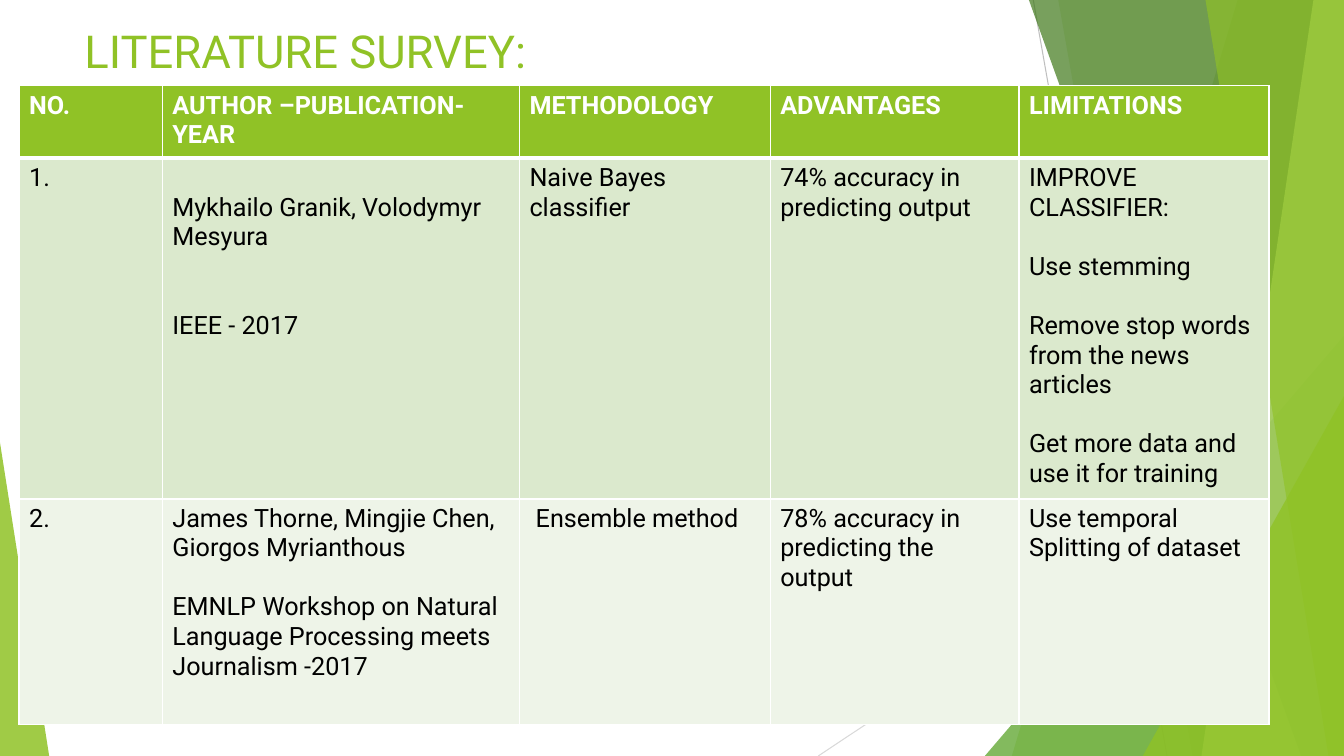
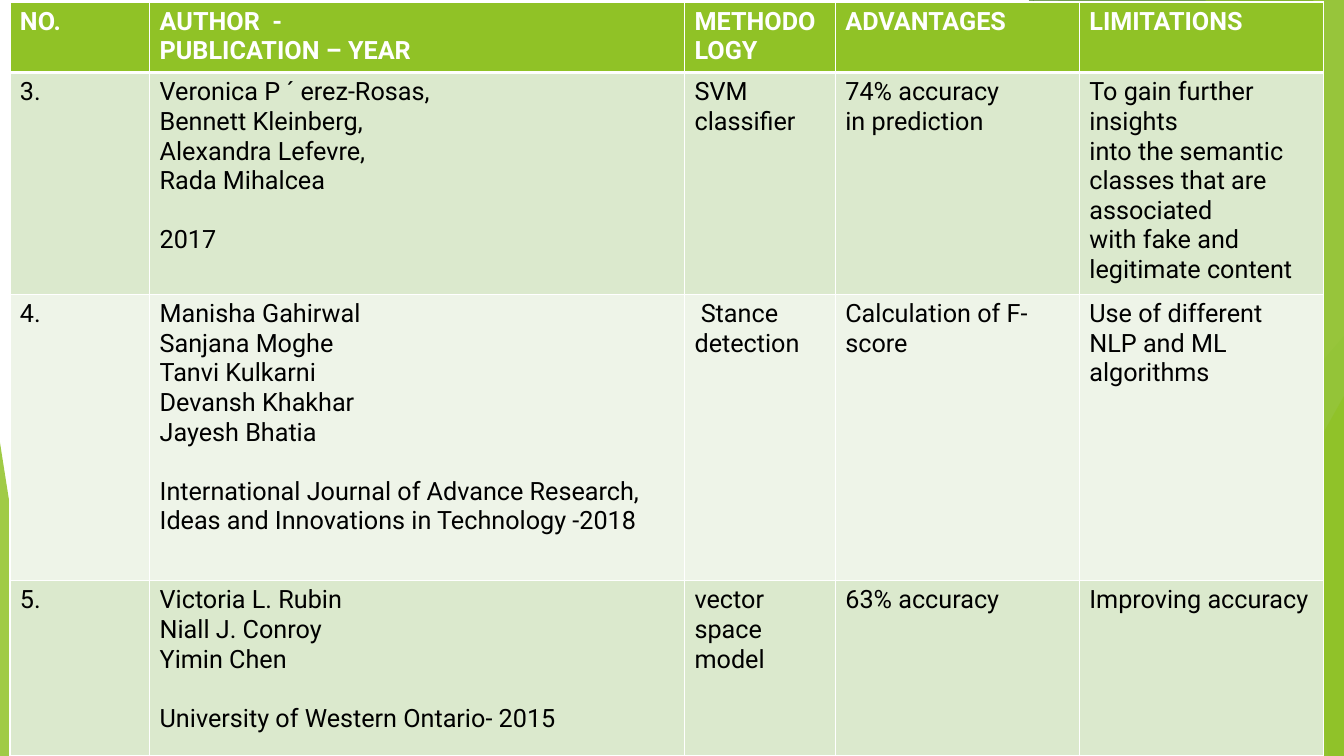
from pptx import Presentation
from pptx.dml.color import RGBColor
from pptx.enum.shapes import MSO_CONNECTOR, MSO_SHAPE
from pptx.oxml.ns import qn
from pptx.util import Cm, Pt
from lxml import etree

STRAIGHT = MSO_CONNECTOR.STRAIGHT
TRIANGLE = MSO_SHAPE.ISOSCELES_TRIANGLE

GREEN = RGBColor(0x90, 0xC2, 0x26)
GRASS = RGBColor(0x54, 0xA0, 0x21)
FOREST = RGBColor(0x3F, 0x78, 0x19)
LIME = RGBColor(0xC0, 0xE4, 0x74)
TINT = RGBColor(0xDB, 0xE9, 0xCD)
PALE = RGBColor(0xEE, 0xF4, 0xE8)
SILVER = RGBColor(0xBF, 0xBF, 0xBF)
MIST = RGBColor(0xD9, 0xD9, 0xD9)
WHITE = RGBColor(0xFF, 0xFF, 0xFF)
BLACK = RGBColor(0, 0, 0)

FONT = "Roboto"
WIDE, HIGH = 33.87, 19.05
SIZE = 18
LINE = 21.1
INSET = 3.6

RAYS = [
    ((26.04, 0), (29.41, HIGH), SILVER),
    ((WIDE, 10.24), (20.62, HIGH), MIST),
]
# top x, bottom x, colour, opacity; or left, top, width, apex, colour, opacity
PANELS = [
    (31.19, 25.5, GREEN, 30),
    (26.67, 30.05, GREEN, 20),
    (24.82, 8.46, 9.05, 1, GRASS, 72),
    (25.93, 32.79, FOREST, 70),
    (33.1, 30.28, LIME, 70),
    (30.38, 33.48, GREEN, 65),
    (28.8, 9.98, 5.07, 1, GREEN, 80),
    (0, 11.15, 1.24, 0, GREEN, 85),
]

SLIDES = [
    {
        "title": "LITERATURE SURVEY:",
        "at": (0.48, 2.16),
        "cols": (3.61, 9.0, 6.32, 6.27, 6.3),
        "rows": (1.83, 8.43, 5.69),
        "cells": [
            ("NO.", "AUTHOR –PUBLICATION-YEAR", "METHODOLOGY", "ADVANTAGES", "LIMITATIONS"),
            ("1.", "\nMykhailo Granik, Volodymyr Mesyura\n\n\nIEEE - 2017",
             "Naive Bayes classifier", "74% accuracy in predicting output",
             "IMPROVE CLASSIFIER:\n\nUse stemming\n\nRemove stop words from the news articles"
             "\n\nGet more data and use it for training"),
            ("2.", "James Thorne, Mingjie Chen, Giorgos Myrianthous\n\n"
             "EMNLP Workshop on Natural Language Processing meets Journalism -2017",
             " Ensemble method", "78% accuracy in predicting the output",
             "Use temporal Splitting of dataset"),
        ],
    },
    {
        "title": None,
        "at": (0.25, 0.05),
        "cols": (3.52, 13.48, 3.8, 6.15, 6.15),
        "rows": (1.78, 5.59, 7.21, 4.42),
        "cells": [
            ("NO.", "AUTHOR  -\nPUBLICATION – YEAR", "METHODOLOGY", "ADVANTAGES", "LIMITATIONS"),
            ("3.", "Veronica P ´ erez-Rosas,\nBennett Kleinberg,\nAlexandra Lefevre,\n"
             "Rada Mihalcea\n\n2017",
             "SVM classifier", "74% accuracy\nin prediction",
             "To gain further insights\ninto the semantic classes that are associated\n"
             "with fake and legitimate content"),
            ("4.", "Manisha Gahirwal\nSanjana Moghe\nTanvi Kulkarni\nDevansh Khakhar\n"
             "Jayesh Bhatia\n\nInternational Journal of Advance Research, "
             "Ideas and Innovations in Technology -2018",
             " Stance detection", "Calculation of F-score",
             "Use of different NLP and ML algorithms"),
            ("5.", "Victoria L. Rubin\nNiall J. Conroy\nYimin Chen\n\n"
             "University of Western Ontario- 2015",
             "vector space model", "63% accuracy", "Improving accuracy"),
        ],
    },
]


def style(para, size, color, bold=False):
    for run in para.runs:
        run.font.name = FONT
        run.font.size = Pt(size)
        run.font.bold = bold
        run.font.color.rgb = color


def paint(shape, color, alpha):
    shape.shadow.inherit = False
    shape.line.fill.background()
    shape.fill.solid()
    shape.fill.fore_color.rgb = color
    tone = shape.fill._xPr.find(qn("a:solidFill"))[0]
    etree.SubElement(tone, qn("a:alpha"), val=str(alpha * 1000))


def add_panel(slide, left, low, color, alpha):
    build = slide.shapes.build_freeform(Cm(left), Cm(0))
    build.add_line_segments([(Cm(WIDE), Cm(0)), (Cm(WIDE), Cm(HIGH)), (Cm(low), Cm(HIGH))])
    paint(build.convert_to_shape(), color, alpha)


def add_wedge(slide, left, top, width, apex, color, alpha):
    shape = slide.shapes.add_shape(TRIANGLE, Cm(left), Cm(top), Cm(width), Cm(HIGH - top))
    shape.adjustments[0] = apex
    paint(shape, color, alpha)


def add_decor(slide):
    for start, end, color in RAYS:
        ray = slide.shapes.add_connector(STRAIGHT, *map(Cm, start + end))
        ray.line.color.rgb = color
        ray.line.width = Pt(0.75)
        etree.SubElement(ray._element.spPr, qn("a:effectLst"))
    for panel in PANELS:
        draw = add_panel if len(panel) == 4 else add_wedge
        draw(slide, *panel)


def add_title(slide, text):
    box = slide.shapes.add_textbox(Cm(1.88), Cm(0.46), Cm(23.88), Cm(1.37))
    frame = box.text_frame
    frame.word_wrap = True
    frame.text = text
    style(frame.paragraphs[0], 32.4, GREEN)


def add_edges(cell, row):
    thick = {"lnT": 3 if row == 1 else 1, "lnB": 3 if row == 0 else 1}
    for side in ("lnL", "lnR", "lnT", "lnB"):
        width = str(Pt(thick.get(side, 1)))
        edge = etree.SubElement(cell._tc.get_or_add_tcPr(), qn("a:" + side), w=width)
        fill = etree.SubElement(edge, qn("a:solidFill"))
        etree.SubElement(fill, qn("a:srgbClr"), val=str(WHITE))


def fill_cell(cell, text, row):
    add_edges(cell, row)
    cell.fill.solid()
    cell.fill.fore_color.rgb = GREEN if row == 0 else TINT if row % 2 else PALE
    frame = cell.text_frame
    gap, first = 0, True
    for part in text.split("\n"):
        if not part:
            gap += LINE
            continue
        para = frame.paragraphs[0] if first else frame.add_paragraph()
        para.text = part
        style(para, SIZE, BLACK if row else WHITE, row == 0)
        if first:
            cell.margin_top = Pt(INSET + gap)
        elif gap:
            para.space_before = Pt(gap)
        gap, first = 0, False


def add_grid(slide, data):
    cols, rows = data["cols"], data["rows"]
    grid = slide.shapes.add_table(
        len(rows), len(cols), *map(Cm, data["at"]), Cm(sum(cols)), Cm(sum(rows))).table
    for col, width in zip(grid.columns, cols):
        col.width = Cm(width)
    for row, height in zip(grid.rows, rows):
        row.height = Cm(height)
    for r, texts in enumerate(data["cells"]):
        for c, text in enumerate(texts):
            fill_cell(grid.cell(r, c), text, r)


def main():
    deck = Presentation()
    deck.slide_width, deck.slide_height = Cm(WIDE), Cm(HIGH)
    for data in SLIDES:
        slide = deck.slides.add_slide(deck.slide_layouts[6])
        add_decor(slide)
        if data["title"]:
            add_title(slide, data["title"])
        add_grid(slide, data)
    deck.save("out.pptx")


if __name__ == "__main__":
    main()
